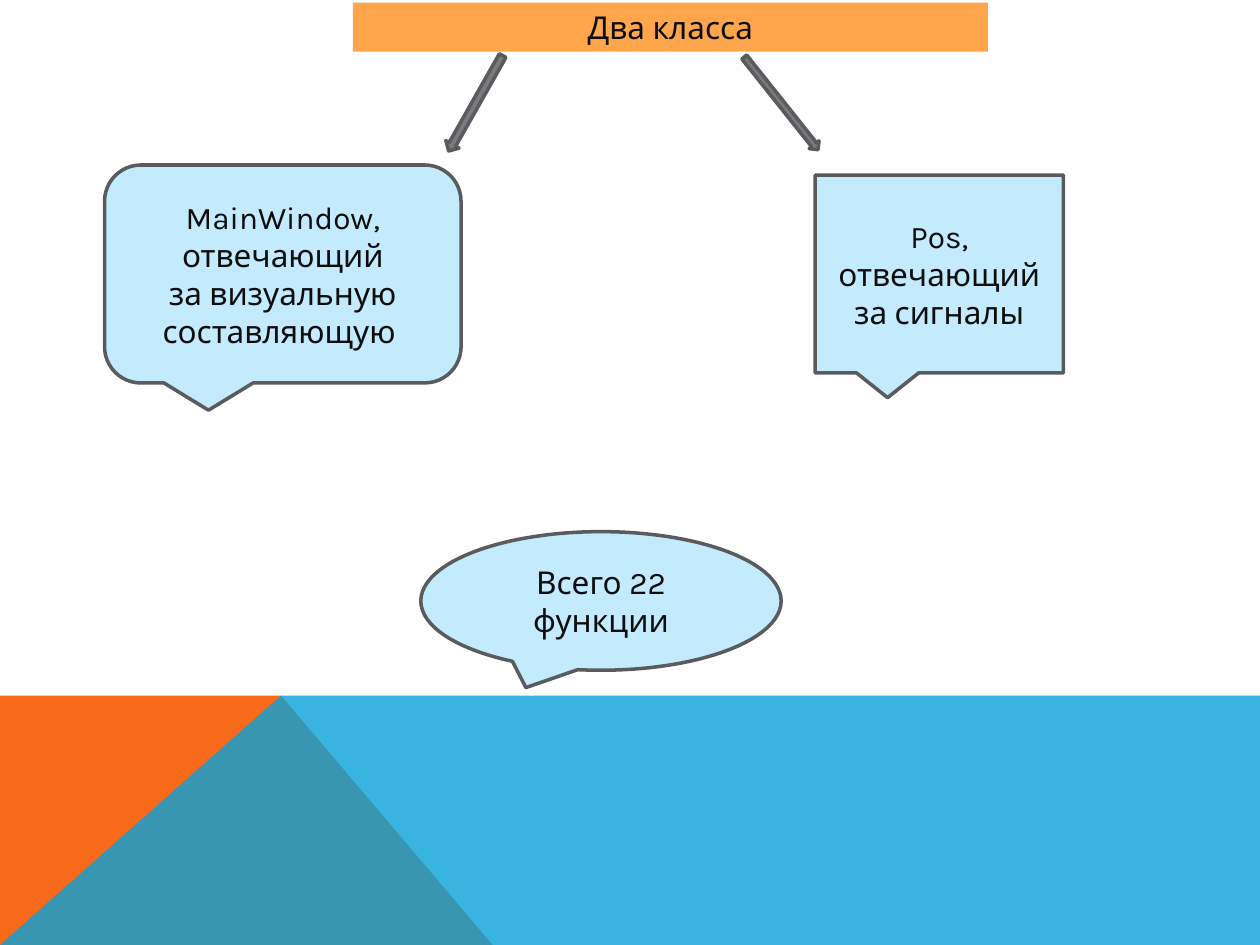
"""Build a slide on the two classes of a program and their roles."""
from lxml.etree import SubElement
from pptx import Presentation
from pptx.dml.color import RGBColor
from pptx.enum.shapes import MSO_SHAPE as Shape
from pptx.enum.text import MSO_ANCHOR as Anchor, MSO_AUTO_SIZE as AutoSize, PP_ALIGN as Align
from pptx.oxml.ns import qn
from pptx.util import Inches, Pt


def paint(fill, color, alpha=None):
    fill.solid()
    fill.fore_color.rgb = RGBColor.from_string(color)
    if alpha is not None:
        clr = fill._xPr.find(qn("a:solidFill"))[0]
        SubElement(clr, qn("a:alpha")).set("val", str(alpha * 1000))


def write(box, text, size=18, font="Karla", color="0D0D0D", align=Align.CENTER, anchor=Anchor.MIDDLE):
    frame = box.text_frame
    frame.text = text
    frame.word_wrap = True
    frame.auto_size = AutoSize.NONE
    frame.vertical_anchor = anchor
    for para in frame.paragraphs:
        para.alignment = align
        for span in para.runs:
            span.font.size = Pt(size)
            span.font.name = font
            paint(span.font.fill, color)


deck = Presentation()
deck.slide_width, deck.slide_height = Inches(10), Inches(7.5)
page = deck.slides.add_slide(deck.slide_layouts[5])
column = deck.slide_width / 100
row = deck.slide_height / 75

horizon, peak, foot, right, bottom = 55.2, 22.3, 39.1, 100, 75
bands = [
    ([(0, bottom), (0, horizon), (peak, horizon), (foot, bottom)], "F96A1B", None),
    ([(0, bottom), (peak, horizon), (right, horizon), (right, bottom)], "08A1D9", 80),
]
for corners, color, alpha in bands:
    points = [(round(x * column), round(y * row)) for x, y in corners]
    outline = page.shapes.build_freeform(*points[0])
    outline.add_line_segments(points[1:], close=True)
    band = outline.convert_to_shape()
    band.shadow.inherit = False
    band.line.fill.background()
    paint(band.fill, color, alpha)

title = page.shapes.title
title.left, title.top = round(28 * column), round(0.2 * row)
title.width, title.height = round(50.4 * column), round(3.9 * row)
paint(title.fill, "FFA64C")
write(title, "Два класса")

figures = [
    (Shape.RECTANGULAR_CALLOUT, 64.7, 13.9, 19.7, 15.7, 0, "C3EAFD", "Pos, отвечающий за сигналы"),
    (Shape.ROUNDED_RECTANGULAR_CALLOUT, 8.3, 13.1, 28.3, 17.3, 0, "C3EAFD",
     "MainWindow, отвечающий\nза визуальную составляющую "),
    (Shape.RIGHT_ARROW, 33.4, 7.6, 8.7, 1.2, 119.5, "797B7E", ""),
    (Shape.DOWN_ARROW, 61.5, 3.5, 1, 9.4, 321.5, "797B7E", ""),
    (Shape.OVAL_CALLOUT, 33.4, 42.2, 28.6, 11, 0, "C3EAFD", "Всего 22 функции"),
]
for kind, left, top, width, height, turn, color, text in figures:
    figure = page.shapes.add_shape(
        kind, round(left * column), round(top * row), round(width * column), round(height * row))
    figure.rotation = turn
    figure.shadow.inherit = False
    paint(figure.fill, color)
    paint(figure.line.fill, "5A5B5D")
    figure.line.width = Pt(2)
    if text:
        write(figure, text)

deck.save("out.pptx")
